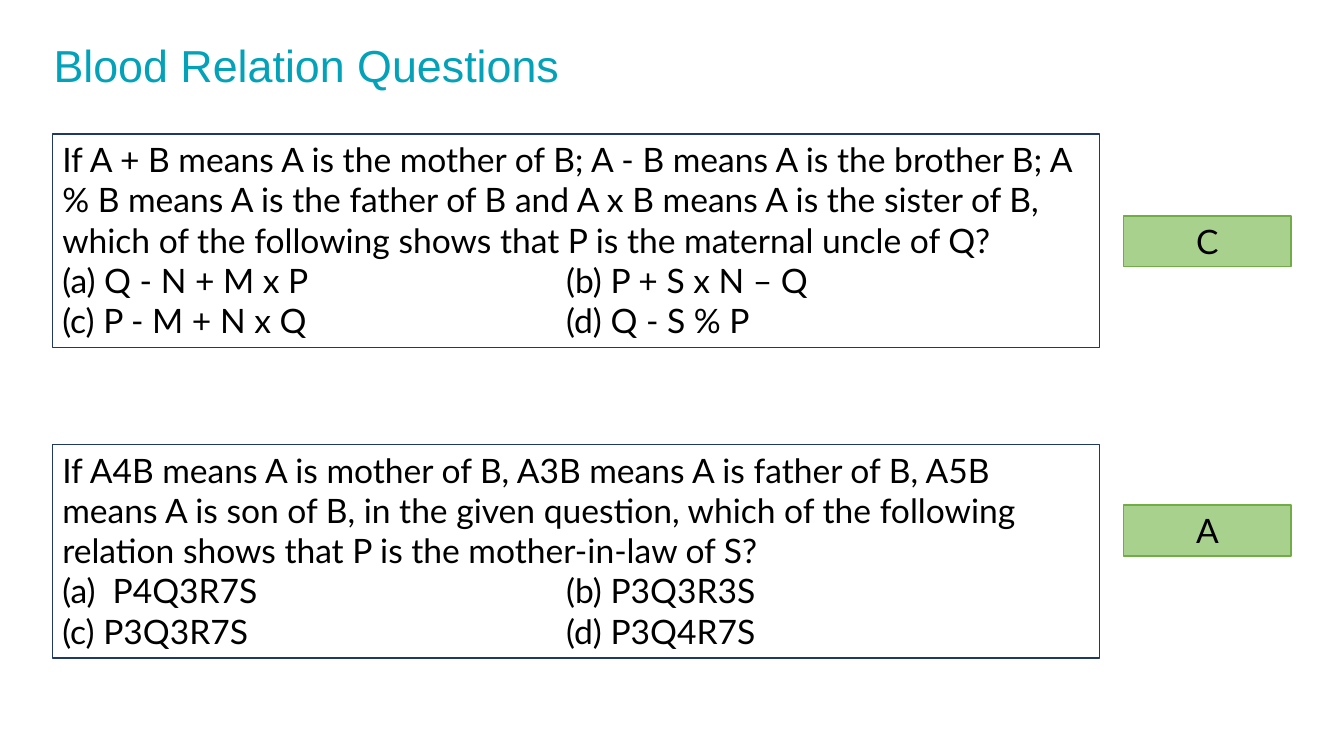
from lxml import etree
from pptx import Presentation
from pptx.dml.color import RGBColor
from pptx.enum.shapes import MSO_SHAPE as Shape
from pptx.enum.text import MSO_ANCHOR as Anchor, PP_ALIGN as Align
from pptx.oxml.ns import qn
from pptx.util import Cm, Pt

# Content: question, option rows, whether (a) is automatic, answer
TITLE = "Blood Relation Questions"
ITEMS = [
    ("If A + B means A is the mother of B; A - B means A is the brother B; "
     "A % B means A is the father of B and A x B means A is the sister of B, "
     "which of the following shows that P is the maternal uncle of Q?",
     ["(a) Q - N + M x P\t(b) P + S x N – Q",
      "(c) P - M + N x Q\t(d) Q - S % P"], False, "C"),
    ("If A4B means A is mother of B, A3B means A is father of B, "
     "A5B means A is son of B, in the given question, which of the following "
     "relation shows that P is the mother-in-law of S?",
     ["P4Q3R7S\t(b) P3Q3R3S",
      "(c) P3Q3R7S\t(d) P3Q4R7S"], True, "A"),
]

# Colours
TEAL = RGBColor(0x04, 0xA2, 0xB9)
NAVY = RGBColor(0x20, 0x38, 0x64)
BLACK = RGBColor(0, 0, 0)
WHITE = RGBColor(255, 255, 255)
LIME = RGBColor(0xA9, 0xD1, 0x8E)
GREEN = RGBColor(0x70, 0xAD, 0x47)

# Layout
LEFT, WIDE, HIGH = Cm(1.32), Cm(26.39), Cm(5.38)
KEY_X, KEY_W, KEY_H = Cm(28.32), Cm(4.22), Cm(1.28)
TOPS = [Cm(3.38), Cm(11.2)]
KEY_TOPS = [Cm(5.44), Cm(12.73)]
TAB, HANG = Cm(12.7), Cm(1.27)


def add_run(para, text, size=24, face="Lato", color=BLACK):
    run = para.add_run()
    run.text = text
    run.font.size = Pt(size)
    run.font.name = face
    run.font.color.rgb = color


def add_box(slide, x, y, w, h, fill, edge):
    box = slide.shapes.add_shape(Shape.RECTANGLE, x, y, w, h)
    box.shadow.inherit = False
    box.fill.solid()
    box.fill.fore_color.rgb = fill
    box.line.color.rgb = edge
    box.line.width = Pt(1)
    frame = box.text_frame
    frame.word_wrap = True
    frame.vertical_anchor = Anchor.TOP
    return frame


def set_tab(para, auto):
    props = para._p.get_or_add_pPr()
    if auto:
        props.set("marL", str(HANG))
        props.set("indent", str(-HANG))
        num = etree.SubElement(props, qn("a:buAutoNum"))
        num.set("type", "alphaLcParenBoth")
    tabs = etree.SubElement(props, qn("a:tabLst"))
    stop = etree.SubElement(tabs, qn("a:tab"))
    stop.set("pos", str(TAB))
    stop.set("algn", "l")


def main():
    deck = Presentation()
    deck.slide_width, deck.slide_height = Cm(33.87), Cm(19.05)
    slide = deck.slides.add_slide(deck.slide_layouts[6])

    # Title
    head = slide.shapes.add_textbox(LEFT, Cm(0.92), Cm(14.2), Cm(1.4))
    frame = head.text_frame
    frame.word_wrap = True
    frame.vertical_anchor = Anchor.MIDDLE
    frame.margin_left = frame.margin_right = Cm(0.03)
    frame.margin_top = frame.margin_bottom = 0
    add_run(frame.paragraphs[0], TITLE, 32, "Arial", TEAL)

    # Questions with their answers
    for item, top, key_top in zip(ITEMS, TOPS, KEY_TOPS):
        ask, rows, auto, key = item
        frame = add_box(slide, LEFT, top, WIDE, HIGH, WHITE, NAVY)
        para = frame.paragraphs[0]
        para.alignment = Align.LEFT
        add_run(para, ask)
        for i, row in enumerate(rows):
            para = frame.add_paragraph()
            para.alignment = Align.LEFT
            set_tab(para, auto and i == 0)
            add_run(para, row)

        frame = add_box(slide, KEY_X, key_top, KEY_W, KEY_H, LIME, GREEN)
        para = frame.paragraphs[0]
        para.alignment = Align.CENTER
        add_run(para, key)

    deck.save("out.pptx")


if __name__ == "__main__":
    main()
